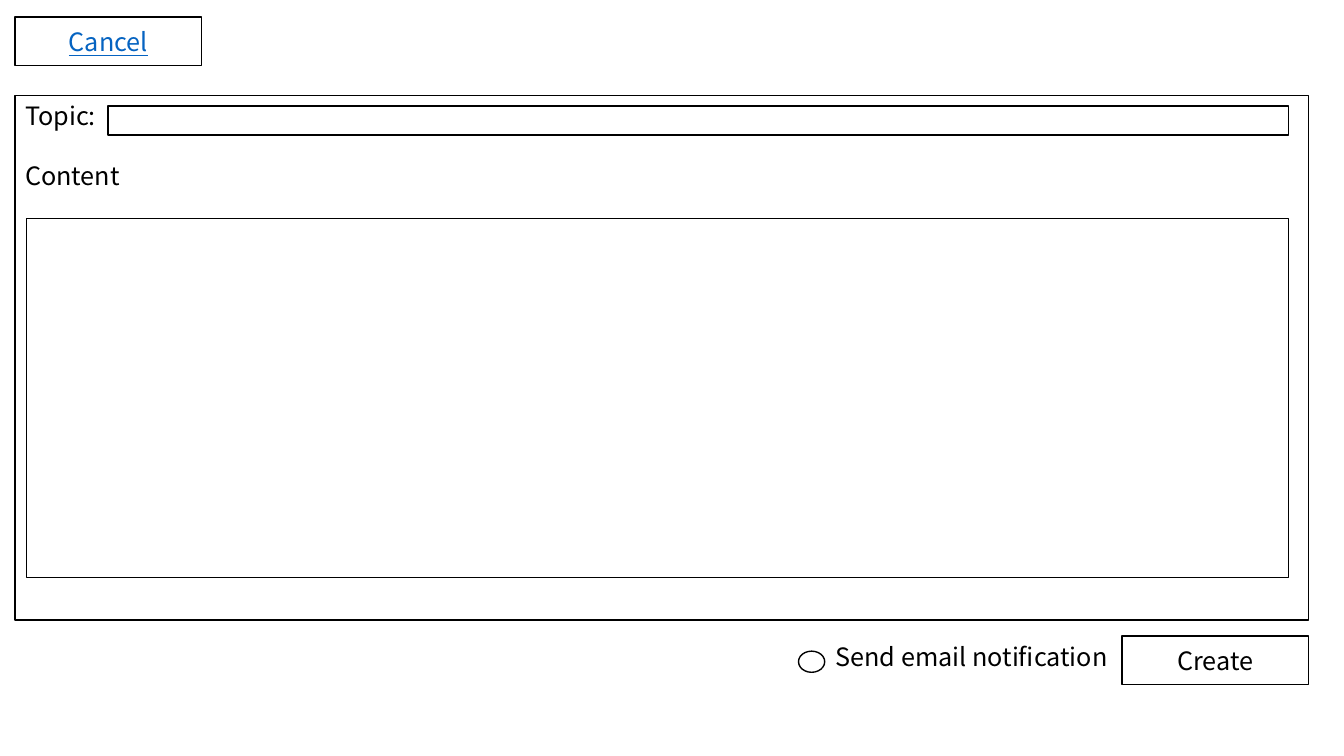
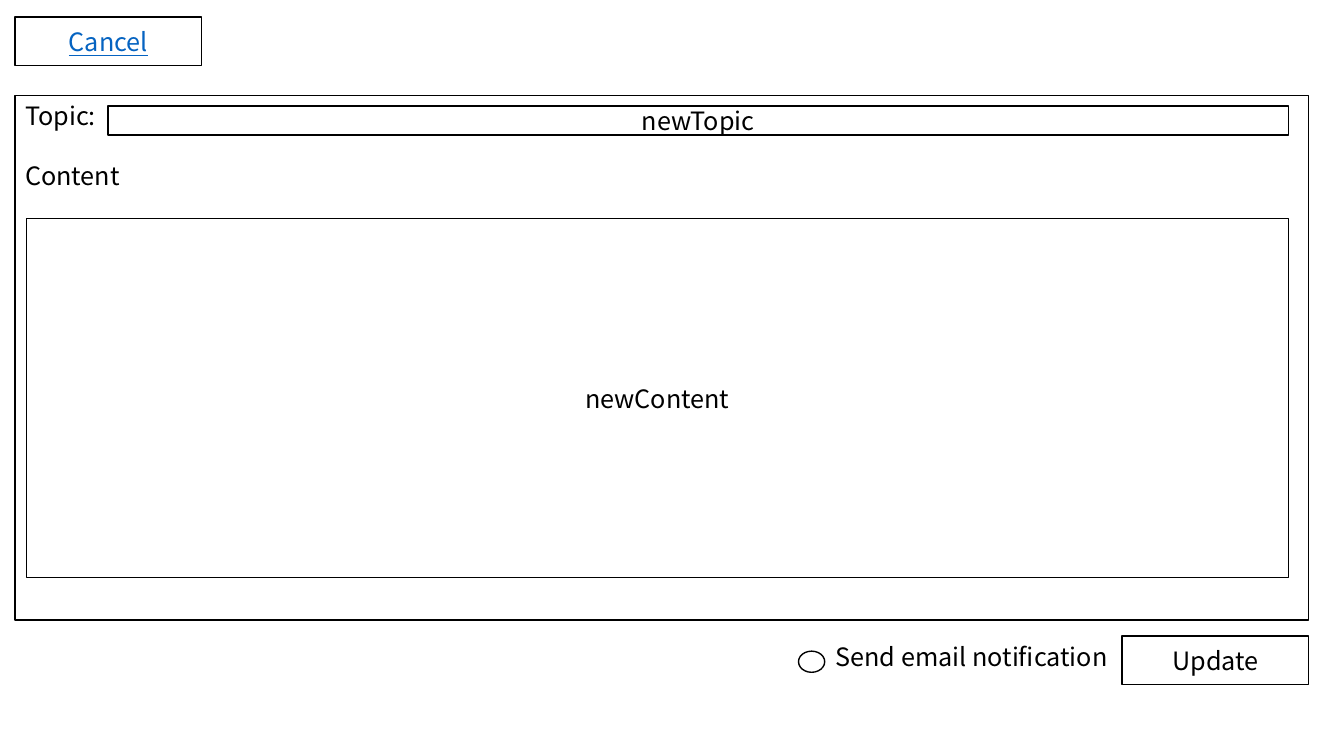
from pptx import Presentation
from pptx.dml.color import RGBColor
from pptx.enum.shapes import MSO_SHAPE
from pptx.enum.text import MSO_ANCHOR, PP_ALIGN
from pptx.util import Inches, Pt

FORMS = [
    {"topic": "", "content": "", "action": "Create"},
    {"topic": "newTopic", "content": "newContent", "action": "Update"},
]
FIELD_LABELS = ["Topic:", "Content"]
CANCEL = "Cancel"
NOTIFY = "Send email notification"

COLORS = {"paper": "FFFFFF", "ink": "000000", "link": "0563C1"}
FONT = "Noto Sans CJK SC"
TEXT_SIZE = Pt(18)
LABEL_GAP = Pt(21)

LEFT, RIGHT = 0.15, 12.98
FIELD_RIGHT = 12.78
BUTTON_WIDTH, BUTTON_HEIGHT = 1.85, 0.48
TOPIC_LEFT, CONTENT_LEFT = 1.07, 0.26
ACTION_TOP = 6.31


def color(name):
    return RGBColor.from_string(COLORS[name])


def write(shape, lines, align=PP_ALIGN.CENTER, anchor=MSO_ANCHOR.MIDDLE, ink="ink"):
    frame = shape.text_frame
    frame.word_wrap = True
    frame.vertical_anchor = anchor
    frame.text = "\n".join(lines)
    for paragraph in frame.paragraphs:
        paragraph.alignment = align
        paragraph.font.name = FONT
        paragraph.font.size = TEXT_SIZE
        paragraph.font.color.rgb = color(ink)
        paragraph.font.underline = ink == "link"
    return frame


def add_outline(page, left, top, width, height, text="", ink="ink", kind=MSO_SHAPE.RECTANGLE):
    shape = page.shapes.add_shape(kind, Inches(left), Inches(top), Inches(width), Inches(height))
    shape.shadow.inherit = False
    shape.fill.solid()
    shape.fill.fore_color.rgb = color("paper")
    shape.line.color.rgb = color("ink")
    shape.line.width = Pt(1)
    if text:
        write(shape, [text], ink=ink)
    return shape


def add_button(page, left, top, text, ink="ink"):
    add_outline(page, left, top, BUTTON_WIDTH, BUTTON_HEIGHT, text, ink)


def add_form(page, form):
    panel = add_outline(page, LEFT, 0.95, RIGHT - LEFT, 5.2)
    labels = write(panel, FIELD_LABELS, PP_ALIGN.LEFT, MSO_ANCHOR.TOP)
    labels.paragraphs[1].space_before = LABEL_GAP

    add_button(page, RIGHT - BUTTON_WIDTH, ACTION_TOP, form["action"])
    add_outline(page, TOPIC_LEFT, 1.05, FIELD_RIGHT - TOPIC_LEFT, 0.29, form["topic"])
    add_outline(page, CONTENT_LEFT, 2.17, FIELD_RIGHT - CONTENT_LEFT, 3.56, form["content"])
    add_button(page, LEFT, 0.17, CANCEL, "link")

    notify = page.shapes.add_textbox(Inches(8.19), Inches(ACTION_TOP), Inches(2.9), Inches(0.4))
    write(notify, [NOTIFY], PP_ALIGN.LEFT, MSO_ANCHOR.TOP)
    add_outline(page, 7.92, 6.46, 0.26, 0.21, kind=MSO_SHAPE.OVAL)


deck = Presentation()
deck.slide_width, deck.slide_height = Inches(13.33), Inches(7.5)
blank = deck.slide_layouts[6]
for form in FORMS:
    add_form(deck.slides.add_slide(blank), form)
deck.save("out.pptx")
